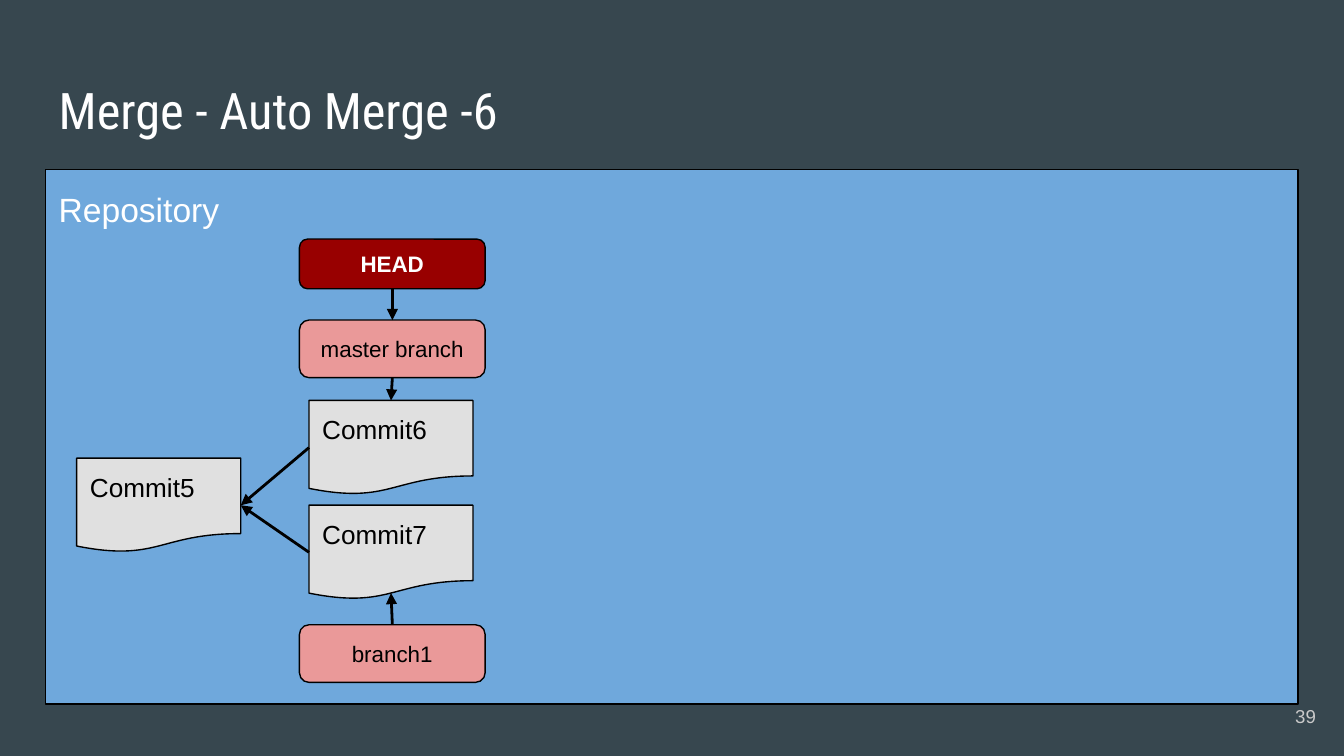
from lxml.etree import SubElement
from pptx import Presentation
from pptx.dml.color import RGBColor
from pptx.enum.shapes import MSO_CONNECTOR, MSO_SHAPE
from pptx.enum.text import MSO_ANCHOR, MSO_AUTO_SIZE, PP_ALIGN
from pptx.oxml.ns import qn
from pptx.util import Cm, Pt


class Theme:
    background = RGBColor.from_string("37474F")
    repository = RGBColor.from_string("6FA8DC")
    commit = RGBColor.from_string("E0E0E0")
    branch = RGBColor.from_string("EA9999")
    head = RGBColor.from_string("980000")
    light = RGBColor.from_string("FFFFFF")
    dark = RGBColor.from_string("000000")
    number = RGBColor.from_string("CACACA")
    title_font, body_font = "Roboto Condensed", "Arial"
    title_size, panel_size, commit_size = Pt(27), Pt(18), Pt(14)
    label_size, number_size = Pt(12), Pt(10)
    outline, arrow = Pt(0.75), Pt(1.5)


def write(box, text, size, color, align=PP_ALIGN.LEFT, anchor=MSO_ANCHOR.TOP,
          font=Theme.body_font, bold=False):
    frame = box.text_frame
    margins = {f"margin_{side}": Cm(0.25) for side in ("left", "top", "right", "bottom")}
    frame_format = {"word_wrap": True, "auto_size": MSO_AUTO_SIZE.NONE,
                    "vertical_anchor": anchor, **margins}
    for name, value in frame_format.items():
        setattr(frame, name, value)
    para = frame.paragraphs[0]
    para.alignment = align
    span = para.add_run()
    span.text = text
    for name, value in {"name": font, "size": size, "bold": bold}.items():
        setattr(span.font, name, value)
    span.font.color.rgb = color
    return para


def add_box(kind, left, top, width, height, fill):
    box = page.shapes.add_shape(kind, Cm(left), Cm(top), Cm(width), Cm(height))
    box.shadow.inherit = False
    box.fill.solid()
    box.fill.fore_color.rgb = fill
    box.line.color.rgb = Theme.dark
    box.line.width = Theme.outline
    return box


deck = Presentation()
deck.slide_width, deck.slide_height = Cm(25.4), Cm(14.29)
page = deck.slides.add_slide(deck.slide_layouts[5])
page.background.fill.solid()
page.background.fill.fore_color.rgb = Theme.background

# Title
title = page.shapes.title
place = {"left": Cm(0.86), "top": Cm(1.24), "width": Cm(23.67), "height": Cm(1.6)}
for name, value in place.items():
    setattr(title, name, value)
write(title, "Merge - Auto Merge -6", Theme.title_size, Theme.light, font=Theme.title_font)

# Page number
number = page.shapes.add_textbox(Cm(23.6), Cm(13), Cm(1.52), Cm(1.09))
write(number, "39", Theme.number_size, Theme.number, PP_ALIGN.RIGHT, MSO_ANCHOR.MIDDLE)

# Repository panel
panel = add_box(MSO_SHAPE.RECTANGLE, 0.86, 3.2, 23.67, 10.11, Theme.repository)
para = write(panel, "Repository", Theme.panel_size, Theme.light)
para.line_spacing = 1.15
para.space_after = Pt(12)

# Commits
nodes = {}
for text, left, top in [("Commit5", 1.45, 8.66), ("Commit6", 5.84, 7.57),
                        ("Commit7", 5.84, 9.55)]:
    nodes[text] = add_box(MSO_SHAPE.FLOWCHART_DOCUMENT, left, top, 3.1, 1.78, Theme.commit)
    write(nodes[text], text, Theme.commit_size, Theme.dark)

# HEAD and branch labels
for text, top, height, fill, color in [
        ("HEAD", 4.52, 0.94, Theme.head, Theme.light),
        ("master branch", 6.05, 1.09, Theme.branch, Theme.dark),
        ("branch1", 11.81, 1.09, Theme.branch, Theme.dark)]:
    nodes[text] = add_box(MSO_SHAPE.ROUNDED_RECTANGLE, 5.66, top, 3.51, height, fill)
    nodes[text].adjustments[0] = 0.167
    write(nodes[text], text, Theme.label_size, color, PP_ALIGN.CENTER, MSO_ANCHOR.MIDDLE,
          bold=text == "HEAD")

# Arrows between connection sites
TOP, LEFT, BOTTOM, RIGHT = range(4)
for start, start_site, end, end_site in [
        ("HEAD", BOTTOM, "master branch", TOP),
        ("master branch", BOTTOM, "Commit6", TOP),
        ("Commit6", LEFT, "Commit5", RIGHT),
        ("Commit7", LEFT, "Commit5", RIGHT),
        ("branch1", TOP, "Commit7", BOTTOM)]:
    arrow = page.shapes.add_connector(MSO_CONNECTOR.STRAIGHT, 0, 0, 0, 0)
    arrow.begin_connect(nodes[start], start_site)
    arrow.end_connect(nodes[end], end_site)
    if end_site == BOTTOM:  # the document's wavy edge sits above its frame
        arrow.end_y -= Cm(0.12)
    arrow.line.color.rgb = Theme.dark
    arrow.line.width = Theme.arrow
    SubElement(arrow.line._get_or_add_ln(), qn("a:tailEnd"), type="triangle")
    SubElement(arrow._element.spPr, qn("a:effectLst"))

deck.save("out.pptx")
